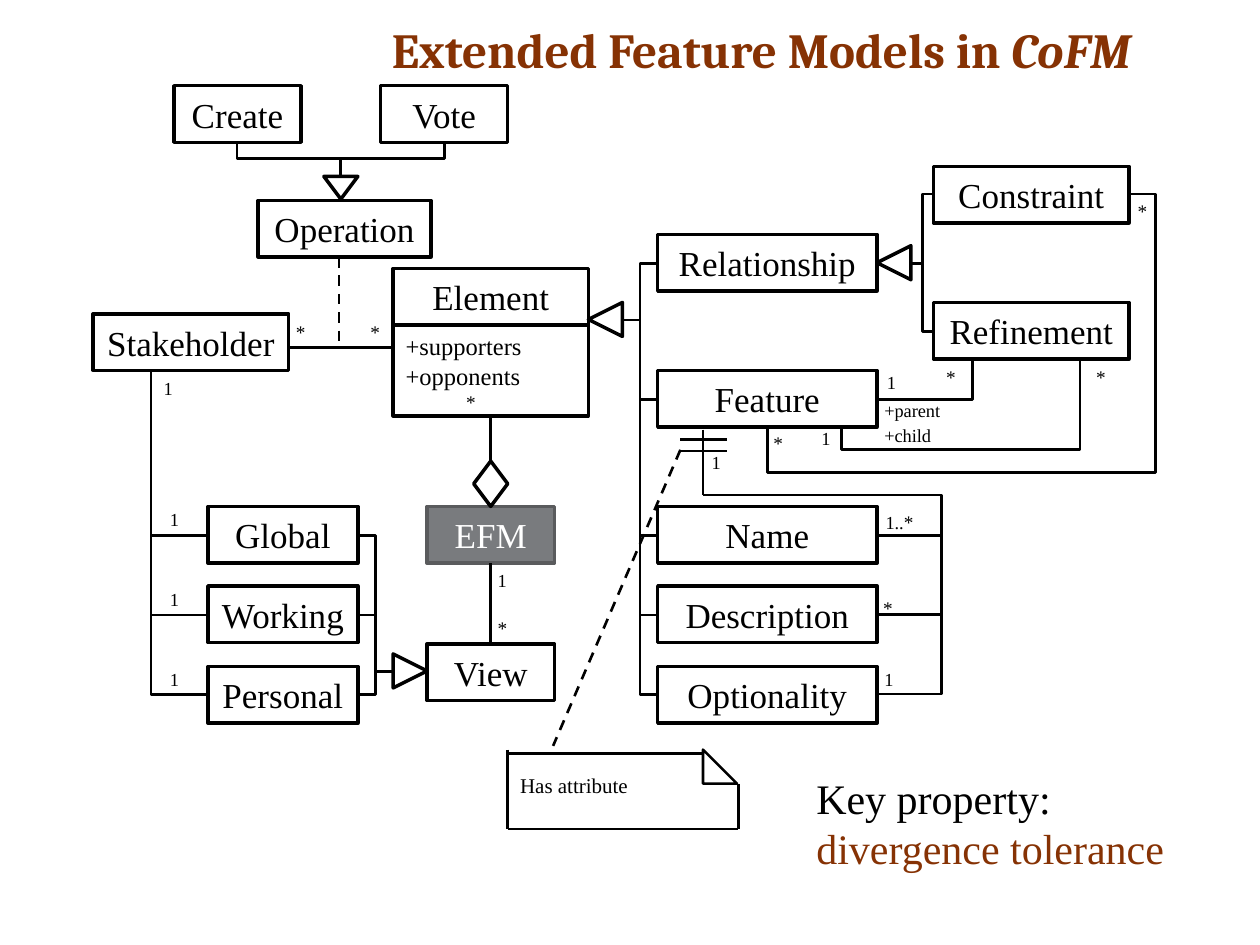
import dataclasses
import typing

import lxml.etree
import pptx
import pptx.dml.color
import pptx.enum.dml
import pptx.enum.shapes
import pptx.enum.text
import pptx.oxml.ns
import pptx.util

Inches = pptx.util.Inches
Pt = pptx.util.Pt
RGBColor = pptx.dml.color.RGBColor
Align = pptx.enum.text.PP_ALIGN
Anchor = pptx.enum.text.MSO_ANCHOR
Form = pptx.enum.shapes.MSO_SHAPE
Link = pptx.enum.shapes.MSO_CONNECTOR

BLACK = RGBColor(0x00, 0x00, 0x00)
WHITE = RGBColor(0xFF, 0xFF, 0xFF)
BROWN = RGBColor(0x86, 0x32, 0x04)
GRAY = RGBColor(0x79, 0x7B, 0x7E)
SLATE = RGBColor(0x5A, 0x5B, 0x5D)
SERIF = "Times New Roman"
BOX_H = 0.45


@dataclasses.dataclass
class Box:
    text: str
    x: float
    y: float
    w: float
    fill: RGBColor = WHITE
    edge: RGBColor = BLACK
    ink: RGBColor = BLACK


@dataclasses.dataclass
class Mark:
    form: Form
    x: float
    y: float
    w: float
    h: float
    turn: int = 0


@dataclasses.dataclass
class Line:
    x1: float
    y1: float
    x2: float
    y2: float
    dash: bool = False


@dataclasses.dataclass
class Bend:
    x1: float
    y1: float
    x2: float
    y2: float
    mid: float


@dataclasses.dataclass
class Label:
    text: str
    x: float
    y: float
    w: float = 0.28
    size: float = 10.5


ROWS = [4.02, 4.65, 5.29]
MIDS = [4.25, 4.88, 5.51]

BOXES = [
    Box("Create", 1.38, 0.68, 1.01),
    Box("Vote", 3.02, 0.68, 1.01),
    Box("Operation", 2.05, 1.59, 1.37),
    Box("Stakeholder", 0.74, 2.49, 1.55),
    Box("Element", 3.12, 2.13, 1.55),
    Box("Relationship", 5.22, 1.86, 1.74),
    Box("Feature", 5.22, 2.94, 1.74),
    Box("Constraint", 7.41, 1.32, 1.55),
    Box("Refinement", 7.41, 2.4, 1.55),
    Box("EFM", 3.39, 4.02, 1.01, GRAY, SLATE, WHITE),
    Box("View", 3.39, 5.11, 1.01),
    *[Box(name, 1.65, y, 1.19) for name, y in zip(["Global", "Working", "Personal"], ROWS)],
    *[Box(name, 5.22, y, 1.74) for name, y in zip(["Name", "Description", "Optionality"], ROWS)],
]

MARKS = [
    Mark(Form.ISOSCELES_TRIANGLE, 4.67, 2.4, 0.27, 0.27, 270),
    Mark(Form.ISOSCELES_TRIANGLE, 6.96, 1.95, 0.27, 0.27, 270),
    Mark(Form.ISOSCELES_TRIANGLE, 3.12, 5.19, 0.27, 0.27, 90),
    Mark(Form.ISOSCELES_TRIANGLE, 2.57, 1.4, 0.27, 0.18, 180),
]

BENDS = [
    *[Bend(1.65, y, 1.2, 2.94, 1.2) for y in MIDS],
    *[Bend(2.84, y, 3.12, 5.33, 2.98) for y in MIDS],
    *[Bend(4.94, 2.54, 5.22, y, 5.08) for y in [2.09, 3.17, *MIDS]],
    *[Bend(7.23, 2.09, 7.41, y, 7.32) for y in [1.54, 2.63]],
    *[Bend(2.7, 1.26, x, 1.13, x) for x in [1.88, 3.53]],
    Bend(6.95, 3.17, 7.72, 2.85, 7.72),
    Bend(6.95, 3.57, 8.57, 2.85, 8.57),
    Bend(6.95, 3.57, 6.68, 3.39, 6.68),
    Bend(8.97, 1.54, 6.95, 3.75, 9.17),
    Bend(6.95, 3.75, 6.09, 3.39, 6.09),
    Bend(5.58, 3.93, 6.95, 4.25, 7.47),
    *[Bend(6.95, y, 7.47, 4.25, 7.47) for y in MIDS[1:]],
]

LINES = [
    Line(2.7, 1.26, 2.7, 1.4),
    Line(2.69, 2.04, 2.69, 2.76, True),
    Line(3.12, 2.76, 2.29, 2.76),
    Line(5.4, 3.49, 5.77, 3.49),
    Line(5.4, 3.58, 5.77, 3.58),
    Line(5.58, 3.41, 5.58, 3.93),
    Line(5.58, 5.98, 4.03, 5.98),
    Line(4.03, 5.95, 4.03, 6.58),
    Line(5.86, 6.22, 5.86, 6.58),
    Line(4.03, 6.58, 5.86, 6.58),
    Line(5.4, 3.57, 4.39, 5.92, True),
]

STARS = [(8.93, 1.53), (6.04, 3.37), (7.41, 2.85), (8.6, 2.85), (3.6, 3.05),
         (3.85, 4.84), (6.91, 4.68), (2.25, 2.49), (2.84, 2.49)]
ONES = [(6.42, 3.34), (6.94, 2.9), (3.85, 4.47), (1.25, 3.98), (1.25, 4.62),
        (1.25, 5.25), (1.2, 2.94), (6.92, 5.25), (5.55, 3.53)]
LABELS = [
    *[Label("*", x, y, size=11) for x, y in STARS],
    *[Label("1", x, y) for x, y in ONES],
    Label("+parent", 6.92, 3.12, 0.66),
    Label("+child", 6.92, 3.32, 0.58),
    Label("Has attribute", 4.03, 6.08, 1.07, 12),
]


def style(par: typing.Any, size: float, ink: RGBColor = BLACK) -> None:
    par.font.name = SERIF
    par.font.size = Pt(size)
    par.font.color.rgb = ink


def draw_mark(slide: typing.Any, mark: Mark, fill: RGBColor = WHITE,
              edge: RGBColor = BLACK) -> typing.Any:
    shape = slide.shapes.add_shape(
        mark.form, Inches(mark.x), Inches(mark.y), Inches(mark.w), Inches(mark.h))
    shape.rotation = mark.turn
    shape.shadow.inherit = False
    shape.fill.solid()
    shape.fill.fore_color.rgb = fill
    shape.line.color.rgb = edge
    shape.line.width = Pt(2)
    return shape


def draw_box(slide: typing.Any, box: Box) -> typing.Any:
    shape = draw_mark(slide, Mark(Form.RECTANGLE, box.x, box.y, box.w, BOX_H), box.fill, box.edge)
    frame = shape.text_frame
    frame.text = box.text
    frame.vertical_anchor = Anchor.MIDDLE
    frame.paragraphs[0].alignment = Align.CENTER
    style(frame.paragraphs[0], 20, box.ink)
    return shape


def draw_line(slide: typing.Any, line: Line | Bend, kind: Link = Link.STRAIGHT) -> typing.Any:
    link = slide.shapes.add_connector(
        kind, Inches(line.x1), Inches(line.y1), Inches(line.x2), Inches(line.y2))
    link.line.color.rgb = BLACK
    link.line.width = Pt(1.5)
    lxml.etree.SubElement(link._element.spPr, pptx.oxml.ns.qn("a:effectLst"))
    return link


def draw_bend(slide: typing.Any, bend: Bend) -> None:
    link = draw_line(slide, bend, Link.ELBOW)
    ratio = (bend.mid - bend.x1) / (bend.x2 - bend.x1)
    geom = link._element.spPr.find(pptx.oxml.ns.qn("a:prstGeom"))
    guides = geom.find(pptx.oxml.ns.qn("a:avLst"))
    lxml.etree.SubElement(guides, pptx.oxml.ns.qn("a:gd"), name="adj1",
                          fmla=f"val {round(ratio * 100000)}")


def draw_label(slide: typing.Any, label: Label) -> typing.Any:
    shape = slide.shapes.add_textbox(
        Inches(label.x), Inches(label.y), Inches(label.w), Inches(0.28))
    shape.text_frame.word_wrap = False
    par = shape.text_frame.paragraphs[0]
    par.text = label.text
    style(par, label.size)
    return par


def draw_title(slide: typing.Any) -> None:
    title = slide.shapes.title
    title.left, title.top = Inches(3.01), Inches(0.1)
    title.width, title.height = Inches(6.84), Inches(0.57)
    title.text_frame.vertical_anchor = Anchor.BOTTOM
    par = title.text_frame.paragraphs[0]
    par.alignment = Align.LEFT
    style(par, 28, BROWN)
    par.font.name = "Cambria"
    par.font.bold = True
    par.add_run().text = "Extended Feature Models in "
    name = par.add_run()
    name.text = "CoFM"
    name.font.italic = True


def draw_key(slide: typing.Any) -> None:
    shape = slide.shapes.add_textbox(Inches(6.38), Inches(6.08), Inches(3.62), Inches(0.91))
    frame = shape.text_frame
    frame.word_wrap = True
    frame.text = "Key property:\ndivergence tolerance"
    for par, ink in zip(frame.paragraphs, [BLACK, BROWN]):
        style(par, 24, ink)


def main() -> None:
    deck = pptx.Presentation()
    deck.slide_width, deck.slide_height = Inches(10), Inches(7.5)
    slide = deck.slides.add_slide(deck.slide_layouts[5])
    draw_title(slide)

    for bend in BENDS:
        draw_bend(slide, bend)
    traits = draw_mark(slide, Mark(Form.RECTANGLE, 3.12, 2.58, 1.55, 0.72))
    traits.text_frame.text = "+supporters\n+opponents"
    traits.text_frame.vertical_anchor = Anchor.TOP
    for par in traits.text_frame.paragraphs:
        par.alignment = Align.LEFT
        style(par, 14)
    boxes = {box.text: draw_box(slide, box) for box in BOXES}
    for mark in MARKS:
        draw_mark(slide, mark)
    gem = draw_mark(slide, Mark(Form.DIAMOND, 3.76, 3.66, 0.27, 0.36))
    fold = draw_mark(slide, Mark(Form.RIGHT_TRIANGLE, 5.58, 5.95, 0.27, 0.27))
    fold.fill.background()
    fold.line.width = Pt(1.5)

    for line in LINES:
        link = draw_line(slide, line)
        if line.dash:
            link.line.dash_style = pptx.enum.dml.MSO_LINE.DASH
    for start, end, top, base in [(traits, gem, 3.3, 3.66),
                                  (boxes["EFM"], boxes["View"], 4.47, 5.11)]:
        link = draw_line(slide, Line(3.89, top, 3.89, base))
        link.begin_connect(start, 2)
        link.end_connect(end, 0)

    for label in LABELS:
        draw_label(slide, label)
    star = draw_label(slide, Label("1..", 6.93, 4, 0.43)).add_run()
    star.text = "*"
    star.font.size = Pt(11)
    draw_key(slide)
    deck.save("out.pptx")


if __name__ == "__main__":
    main()
